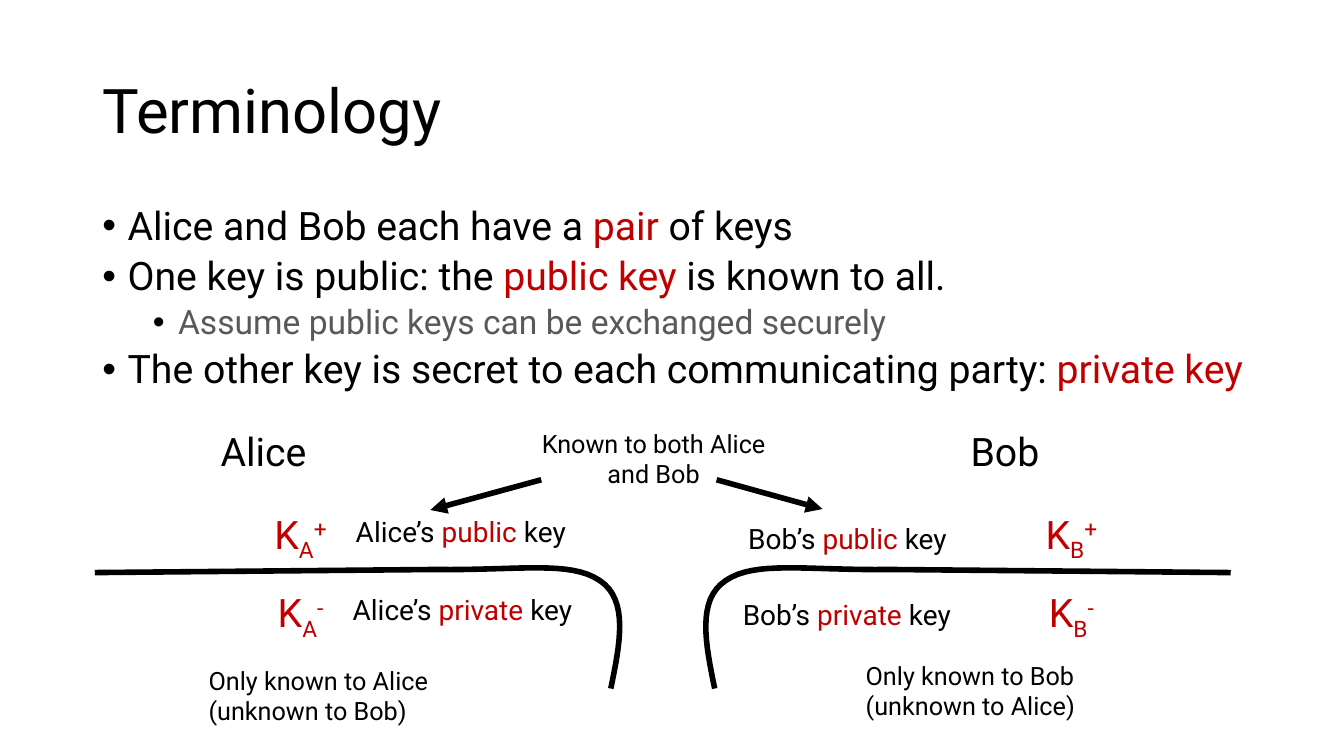
from dataclasses import dataclass

from lxml import etree
from pptx import Presentation
from pptx.dml.color import RGBColor
from pptx.enum.shapes import MSO_CONNECTOR
from pptx.enum.text import MSO_ANCHOR, MSO_AUTO_SIZE, PP_ALIGN
from pptx.oxml.ns import qn
from pptx.util import Pt

LEFT, CENTER, RIGHT = PP_ALIGN.LEFT, PP_ALIGN.CENTER, PP_ALIGN.RIGHT
MIDDLE, TOP = MSO_ANCHOR.MIDDLE, MSO_ANCHOR.TOP
NO_FIT = MSO_AUTO_SIZE.NONE
STRAIGHT = MSO_CONNECTOR.STRAIGHT


@dataclass(frozen=True)
class Theme:
    """Colours, font and type sizes of the slide."""
    font: str = "Roboto"
    ink: RGBColor = RGBColor(0, 0, 0)
    accent: RGBColor = RGBColor(0xC0, 0, 0)
    muted: RGBColor = RGBColor(0x59, 0x59, 0x59)
    title: int = 44
    body: int = 28
    sub: int = 24
    label: int = 20
    note: int = 18
    line: int = 4


T = Theme()

BULLETS = [
    (0, [("Alice and Bob each have a ", T.ink), ("pair", T.accent), (" of keys", T.ink)]),
    (0, [("One key is public: the ", T.ink), ("public key", T.accent),
         (" is known to all.", T.ink)]),
    (1, [("Assume public keys can be exchanged securely", T.muted)]),
    (0, [("The other key is secret to each communicating party: ", T.ink),
         ("private key", T.accent)]),
]

CURVE_START = (0, 107.3)
CURVE_BEND = (243.4, 105.1)
CURVE_ARCS = [
    [(303.1, 105.8), (339.8, 98.6), (360.7, 113)],
    [(381.6, 126.7), (375.1, 158.4), (368.6, 190.1)],
]
CURVE_STEPS = 16

ALICE = dict(name="Alice", other="Bob", name_x=82.8, symbol_x=149, note=(74.2, 169.9),
             labels=[("public", 179.3, 62.6, 171.4), ("private", 177.1, 118.1, 183.6)],
             align=LEFT, mirrored=False)
BOB = dict(name="Bob", other="Alice", name_x=182.2, symbol_x=263.3, note=(107.3, 166.3),
           labels=[("public", 7.9, 67, 171.4), ("private", -1.4, 121.7, 183.6)],
           align=RIGHT, mirrored=True)


def place(shape, box):
    """Move a shape to a box of left, top, width and height in points."""
    shape.left, shape.top, shape.width, shape.height = map(Pt, box)


def style(r, size, color):
    """Set the font, size and colour of a run."""
    r.font.name = T.font
    r.font.size = Pt(size)
    r.font.color.rgb = color


def add_runs(p, parts, size):
    """Append coloured runs to a paragraph and return them."""
    runs = []
    for text, color in parts:
        r = p.add_run()
        r.text = text
        style(r, size, color)
        runs.append(r)
    return runs


def add_text(s, box, parts, size, align=LEFT, wrap=True):
    """Add a one-paragraph text box and return its runs."""
    tf = s.shapes.add_textbox(*map(Pt, box)).text_frame
    tf.word_wrap = wrap
    p = tf.paragraphs[0]
    p.alignment = align
    return add_runs(p, parts, size)


def add_title(s, box):
    """Fill the title placeholder."""
    place(s.shapes.title, box)
    tf = s.shapes.title.text_frame
    tf.text = "Terminology"
    tf.auto_size = NO_FIT
    tf.vertical_anchor = MIDDLE
    p = tf.paragraphs[0]
    p.alignment = LEFT
    p.line_spacing = 0.9
    style(p.runs[0], T.title, T.ink)


def add_bullets(s, box):
    """Fill the body placeholder with the two-level list."""
    body = s.placeholders[1]
    place(body, box)
    tf = body.text_frame
    tf.auto_size = NO_FIT
    tf.vertical_anchor = TOP
    for i, (level, parts) in enumerate(BULLETS):
        p = tf.add_paragraph() if i else tf.paragraphs[0]
        size = T.sub if level else T.body
        p.level = level
        p.line_spacing = 0.9
        p.space_before = Pt(0.2 * size if i else 0)
        pPr = p._p.get_or_add_pPr()
        pPr.set("marL", str(Pt(18 + 36 * level)))
        pPr.set("indent", str(Pt(-18)))
        color = etree.SubElement(pPr, qn("a:buClr"))
        etree.SubElement(color, qn("a:srgbClr"), val=str(T.ink))
        etree.SubElement(pPr, qn("a:buFont"), typeface="Arial")
        etree.SubElement(pPr, qn("a:buChar"), char="•")
        add_runs(p, parts, size)


def add_key_symbol(s, center, y, width, letter, sign):
    """Add a key symbol with a subscript letter and a superscript sign."""
    parts = [(text, T.accent) for text in ("K", letter, sign + " ")]
    runs = add_text(s, (center - width / 2, y, width, 41), parts, T.body, CENTER, wrap=False)
    for r, baseline in zip(runs[1:], (-25000, 30000)):
        r.font._element.set("baseline", str(baseline))


def bezier(p0, p1, p2, p3):
    """Return points along a cubic curve, without its start."""
    points = []
    for step in range(1, CURVE_STEPS + 1):
        t = step / CURVE_STEPS
        weights = ((1 - t) ** 3, 3 * t * (1 - t) ** 2, 3 * t * t * (1 - t), t ** 3)
        points.append(tuple(sum(w * c for w, c in zip(weights, axis))
                            for axis in zip(p0, p1, p2, p3)))
    return points


def add_divider(s, box, mirrored):
    """Draw the curved line between public and private keys."""
    x, y, w, _ = box
    points = [CURVE_START, CURVE_BEND]
    for arc in CURVE_ARCS:
        points += bezier(points[-1], *arc)
    points = [(Pt(x + (w - px if mirrored else px)), Pt(y + py)) for px, py in points]
    builder = s.shapes.build_freeform(*points[0])
    builder.add_line_segments(points[1:], close=False)
    curve = builder.convert_to_shape()
    curve.shadow.inherit = False
    curve.fill.background()
    curve.line.color.rgb = T.ink
    curve.line.width = Pt(T.line)


def add_party(s, box, name, other, name_x, symbol_x, note, labels, align, mirrored):
    """Draw one party with its name, keys, divider and note."""
    x, y, _, _ = box
    add_text(s, (x + name_x, y, 134, 41), [(name, T.ink)], T.body)
    add_key_symbol(s, x + symbol_x, y + 59, 64.8, name[0], "+")
    add_key_symbol(s, x + symbol_x, y + 115.2, 59.8, name[0], "-")
    for kind, dx, dy, width in labels:
        parts = [(f"{name}’s ", T.ink), (kind, T.accent), (" key", T.ink)]
        add_text(s, (x + dx, y + dy, width, 31.7), parts, T.label, align)
    add_divider(s, box, mirrored)
    add_text(s, (x + note[0], y + note[1], 196.6, 51),
             [(f"Only known to {name} (unknown to {other})", T.ink)], T.note)


def add_arrow(s, start, end):
    """Draw a straight line with an arrowhead at its end."""
    arrow = s.shapes.add_connector(STRAIGHT, *map(Pt, start + end))
    arrow.line.color.rgb = T.ink
    arrow.line.width = Pt(T.line)
    etree.SubElement(arrow.line._get_or_add_ln(), qn("a:tailEnd"), type="triangle")
    etree.SubElement(arrow._element.spPr, qn("a:effectLst"))


def add_shared_note(s, box):
    """Add the central note and its arrows to both public keys."""
    x, y, w, _ = box
    add_text(s, box, [("Known to both Alice and Bob", T.ink)], T.note, CENTER)
    add_arrow(s, (x + 18, y + 40.3), (x - 61.2, y + 61.9))
    add_arrow(s, (x + w - 53.3, y + 40.3), (x + w + 22.3, y + 61.2))


def main():
    """Build the slide and save it."""
    prs = Presentation()
    prs.slide_width, prs.slide_height = Pt(960), Pt(540)
    s = prs.slides.add_slide(prs.slide_layouts[1])
    add_title(s, (66, 28.8, 828, 104.4))
    add_bullets(s, (66, 144, 858.2, 342.7))
    add_party(s, (67.7, 301.7, 375.1, 222), **ALICE)
    add_party(s, (504, 301.7, 375.1, 222), **BOB)
    add_shared_note(s, (368.6, 302.4, 196.6, 51))
    prs.save("out.pptx")


if __name__ == "__main__":
    main()
